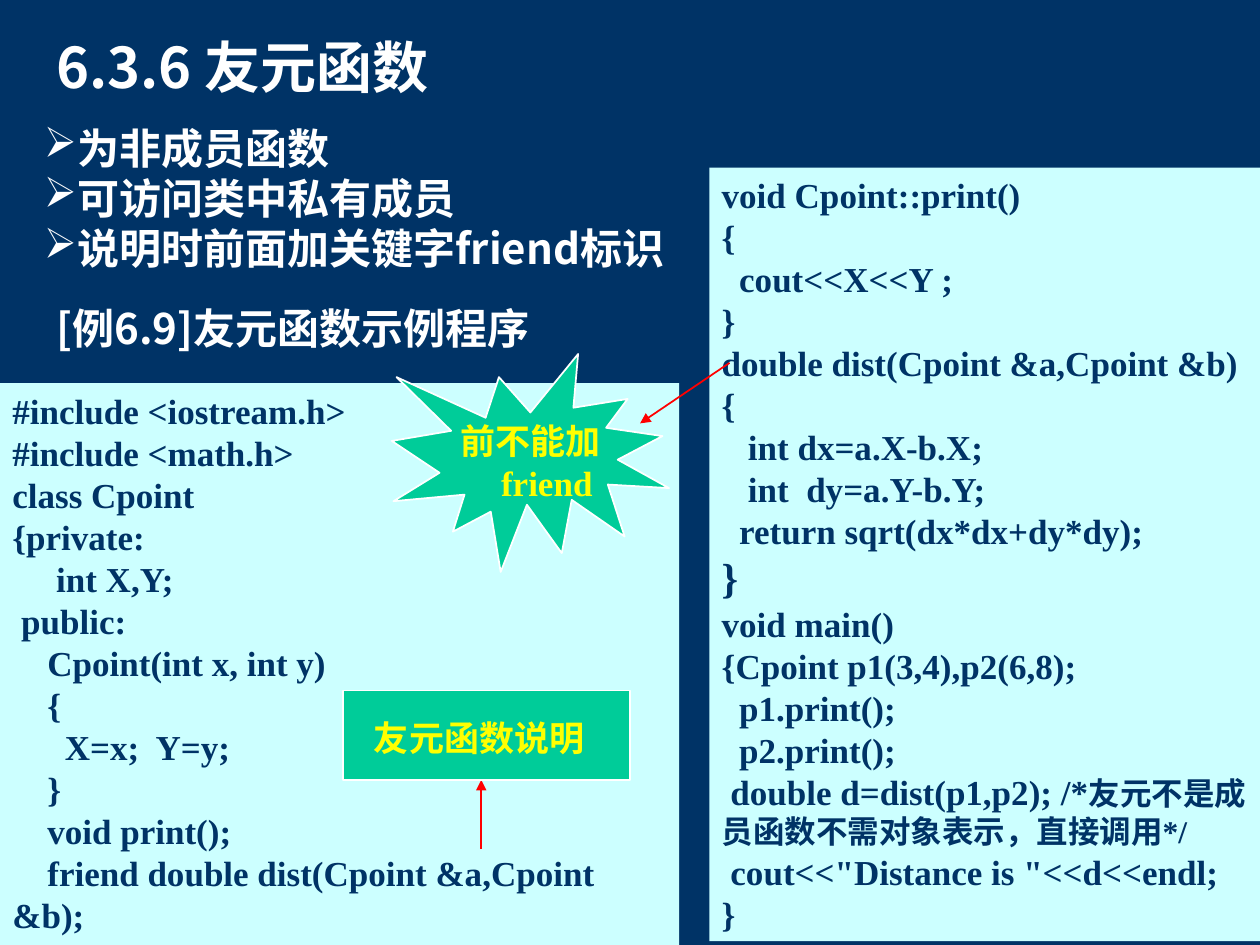
from lxml.etree import SubElement
from pptx import Presentation
from pptx.dml.color import RGBColor
from pptx.enum.shapes import MSO_CONNECTOR as CONNECTOR, MSO_SHAPE as SHAPE
from pptx.enum.text import PP_ALIGN as ALIGN
from pptx.oxml.ns import qn
from pptx.util import Inches, Pt

COLORS = {"navy": "003366", "pale": "CCFFFF", "green": "00CC99",
          "white": "FFFFFF", "yellow": "FFFF00", "red": "FF0000"}
SANS, SERIF = "Noto Sans CJK SC", "Times New Roman"

CLASS_CODE = """#include <iostream.h>
#include <math.h>
class Cpoint
{private:
     int X,Y;
 public:
    Cpoint(int x, int y)
    {
      X=x;  Y=y;
    }
    void print();
    friend double dist(Cpoint &a,Cpoint &b);"""

MAIN_CODE = """void Cpoint::print()
{
  cout<<X<<Y ;
}
double dist(Cpoint &a,Cpoint &b)
{
   int dx=a.X-b.X;
   int  dy=a.Y-b.Y;
  return sqrt(dx*dx+dy*dy);
}
void main()
{Cpoint p1(3,4),p2(6,8);
  p1.print();
  p2.print();
 double d=dist(p1,p2); /*
 cout<<"Distance is "<<d<<endl;
}"""
COMMENT = "友元不是成员函数不需对象表示，直接调用*/"
POINTS = ["为非成员函数", "可访问类中私有成员", "说明时前面加关键字friend标识"]


def rgb(name):
    """Return the palette colour called name."""
    return RGBColor.from_string(COLORS[name])


def style(para, size, face, color):
    """Set the bold font of a paragraph for Latin and Chinese text."""
    font = para.font
    font.size, font.bold, font.name = Pt(size), True, face
    font.color.rgb = rgb(color)
    SubElement(font._element, qn("a:ea")).set("typeface", SANS)


def write(frame, lines, size, face, color):
    """Fill a text frame with one styled paragraph per line."""
    frame.word_wrap = True
    for index, line in enumerate(lines):
        para = frame.add_paragraph() if index else frame.paragraphs[0]
        para.alignment = ALIGN.LEFT
        para.add_run().text = line
        style(para, size, face, color)
    return frame.paragraphs


def add_text(page, place, lines, size, face, color):
    """Add a text box and return its paragraphs."""
    box = page.shapes.add_textbox(*map(Inches, place))
    return write(box.text_frame, lines, size, face, color)


def add_panel(page, kind, place, fill, line=None):
    """Add a flat filled shape, outlined if a line colour is given."""
    panel = page.shapes.add_shape(kind, *map(Inches, place))
    panel.shadow.inherit = False
    panel.fill.solid()
    panel.fill.fore_color.rgb = rgb(fill)
    if line:
        panel.line.color.rgb = rgb(line)
        panel.line.width = Pt(1)
    else:
        panel.line.fill.background()
    return panel


def add_code(page, place, code):
    """Add a pale code panel and return its paragraphs."""
    frame = add_panel(page, SHAPE.RECTANGLE, place, "pale").text_frame
    frame.vertical_anchor = 1
    return write(frame, code.split("\n"), 20, SERIF, "navy")


def add_arrow(page, *ends):
    """Add a red arrow that points at its second end."""
    arrow = page.shapes.add_connector(CONNECTOR.STRAIGHT, *map(Inches, ends))
    arrow.line.color.rgb = rgb("red")
    arrow.line.width = Pt(1)
    SubElement(arrow.line._get_or_add_ln(), qn("a:tailEnd")).set("type", "triangle")
    SubElement(arrow._element.spPr, qn("a:effectLst"))


def add_bullet(para):
    """Put a white arrowhead bullet before a paragraph."""
    props = para._p.get_or_add_pPr()
    color = SubElement(props, qn("a:buClr"))
    SubElement(color, qn("a:srgbClr")).set("val", COLORS["white"])
    SubElement(props, qn("a:buChar")).set("char", "➢")
    props.append(props.find(qn("a:defRPr")))


def main():
    """Build the slide on friend functions."""
    deck = Presentation()
    deck.slide_width, deck.slide_height = Inches(10), Inches(7.5)
    page = deck.slides.add_slide(deck.slide_layouts[6])
    page.background.fill.solid()
    page.background.fill.fore_color.rgb = rgb("navy")

    title, example = add_text(page, (0.35, 0.21, 9.65, 2.64),
                              ["6.3.6 友元函数", "[例6.9]友元函数示例程序"],
                              24, SANS, "white")
    title.font.size = Pt(32)
    example.space_before = Pt(116)

    add_code(page, (0, 3.04, 5.39, 4.46), CLASS_CODE)
    lines = add_code(page, (5.63, 1.33, 4.37, 6.14), MAIN_CODE)
    lines[9].font.size = Pt(24)
    span = lines[14].add_run()
    span.text = COMMENT
    span.font.size = Pt(18)

    add_arrow(page, 3.82, 6.74, 3.82, 6.19)
    add_panel(page, SHAPE.RECTANGLE, (2.72, 5.48, 2.28, 0.71), "green", "white")
    add_text(page, (2.87, 5.64, 1.97, 0.44), ["友元函数说明"], 20, SERIF, "yellow")

    add_arrow(page, 5.79, 2.88, 5.08, 3.36)
    add_panel(page, SHAPE.EXPLOSION1, (3.11, 2.81, 2.2, 1.73), "green", "white")
    warning = add_text(page, (3.5, 3.28, 1.42, 0.77), ["前不能加", "friend"],
                       20, SERIF, "yellow")
    for para in warning:
        para.alignment = ALIGN.CENTER
    warning[1]._p.get_or_add_pPr().set("marL", str(Inches(0.26)))

    for para in add_text(page, (0.25, 0.92, 5.33, 1.3), POINTS, 24, SANS, "white"):
        add_bullet(para)

    deck.save("out.pptx")


if __name__ == "__main__":
    main()
